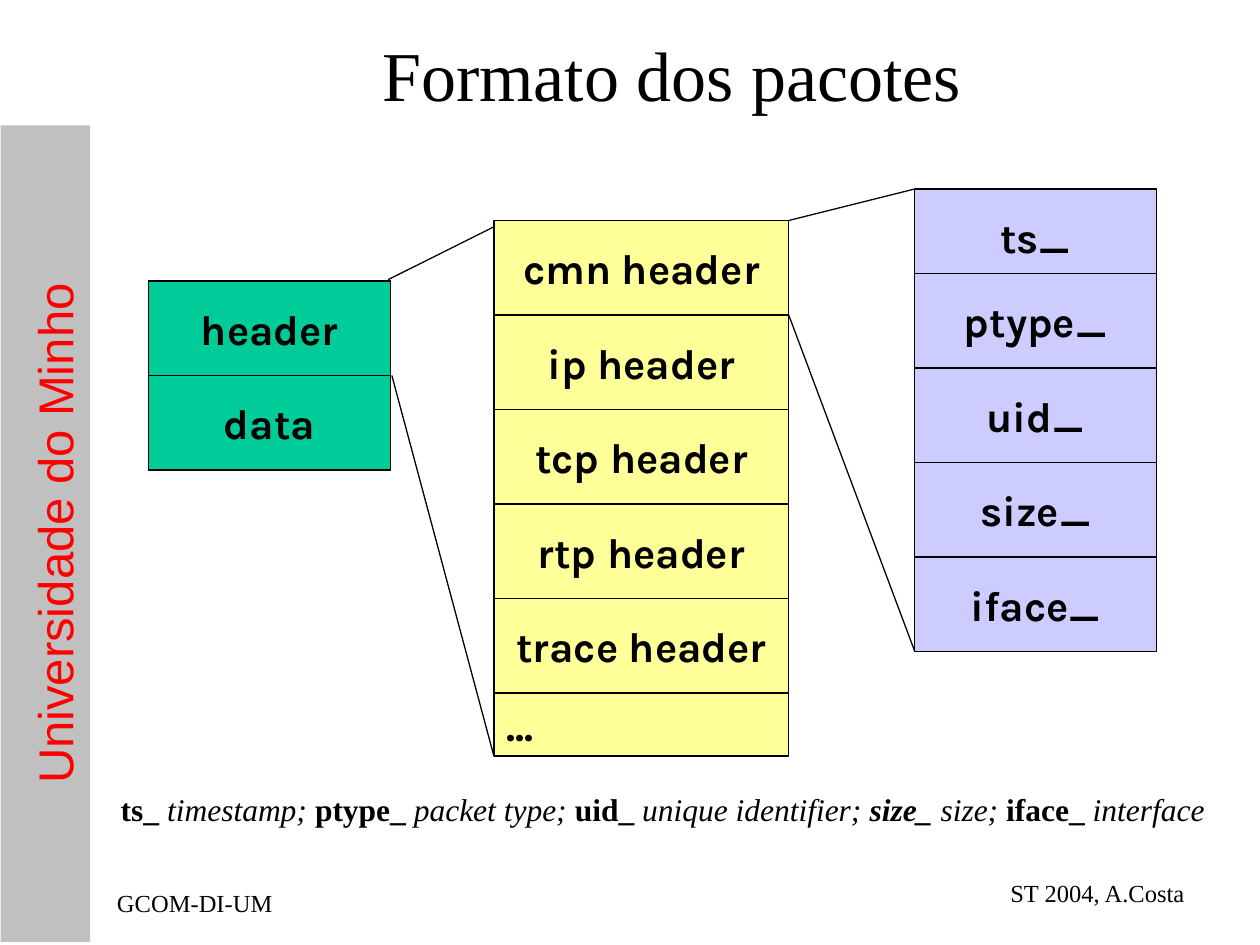
from lxml import etree
from pptx import Presentation, util as u
from pptx.dml.color import RGBColor
from pptx.enum import shapes, text
from pptx.oxml.ns import qn

BLACK = RGBColor(0, 0, 0)
RED = RGBColor(0xFF, 0, 0)
GREY = RGBColor(0xC0, 0xC0, 0xC0)
GREEN = RGBColor(0, 0xCC, 0x99)
YELLOW = RGBColor(0xFF, 0xFF, 0x99)
LILAC = RGBColor(0xCC, 0xCC, 0xFF)
SERIF, SANS, LABEL = "Times New Roman", "Arial", "Karla"
LEFT, CENTER, RIGHT = text.PP_ALIGN.LEFT, text.PP_ALIGN.CENTER, text.PP_ALIGN.RIGHT
TOP, MIDDLE = text.MSO_ANCHOR.TOP, text.MSO_ANCHOR.MIDDLE

# Content
TITLE = "Formato dos pacotes"
UNIVERSITY = "Universidade do Minho"
FOOTERS = [
    ("GCOM-DI-UM", 0.83, 7, LEFT),
    ("ST 2004, A.Costa", 7.42, 6.92, RIGHT),
]
ROW = 0.75
# Each column: left, top of second row, width, fill, rows, first row's rise
COLUMNS = [
    (1.18, 2.98, 1.92, GREEN, ["header", "data"], 0.75),
    (3.92, 2.5, 2.34, YELLOW,
     ["cmn header", "ip header", "tcp header", "rtp header", "trace header"], 0.75),
    (7.26, 2.17, 1.92, LILAC, ["ts_", "ptype_", "uid_", "size_", "iface_"], 0.67),
]
MORE = "..."
MORE_HEIGHT = 0.5
EXPANSIONS = [
    ((3.08, 2.22), (3.92, 1.8)),
    ((3.11, 2.98), (3.92, 6)),
    ((6.26, 1.75), (7.26, 1.5)),
    ((6.26, 2.5), (7.26, 5.17)),
]
# Legend: text, bold, italic
LEGEND = [
    ("ts_ ", True, False), ("timestamp; ", False, True),
    ("ptype_ ", True, False), ("packet type; ", False, True),
    ("uid_ ", True, False), ("unique identifier; ", False, True),
    ("size_ ", True, True), ("size; ", False, True),
    ("iface_ ", True, False), ("interface", False, True),
]


def write(shape, runs, font, size, color=BLACK, align=CENTER, anchor=MIDDLE, wrap=False):
    frame = shape.text_frame
    frame.word_wrap = wrap
    frame.vertical_anchor = anchor
    paragraph = frame.paragraphs[0]
    paragraph.alignment = align
    for words, bold, italic in runs:
        run = paragraph.add_run()
        run.text = words
        run.font.name, run.font.size = font, u.Pt(size)
        run.font.bold, run.font.italic = bold, italic
        run.font.color.rgb = color
    return paragraph


def inches(*lengths):
    return [u.Inches(length) for length in lengths]


def add_box(left, top, width, height, fill, outlined=True):
    box = slide.shapes.add_shape(
        shapes.MSO_SHAPE.RECTANGLE, *inches(left, top, width, height))
    box.shadow.inherit = False
    box.fill.solid()
    box.fill.fore_color.rgb = fill
    if outlined:
        box.line.color.rgb = BLACK
        box.line.width = u.Pt(0.75)
    else:
        box.line.fill.background()
    return box


prs = Presentation()
prs.slide_width, prs.slide_height = inches(10, 7.5)
slide = prs.slides.add_slide(prs.slide_layouts[5])

# University sidebar
sidebar = add_box(-2.88, 3.88, 6.48, 0.71, GREY, outlined=False)
sidebar.rotation = 270
name = write(sidebar, [(UNIVERSITY, False, False)], SANS, 28, RED, anchor=TOP, wrap=True)
name.line_spacing = 1.3

# Footers
for words, left, top, align in FOOTERS:
    footer = slide.shapes.add_textbox(*inches(left, top, 2.08, 0.33))
    write(footer, [(words, False, False)], SERIF, 14, align=align)

# Title
title = slide.shapes.title
title.left, title.top, title.width, title.height = inches(0.83, 0.17, 9, 0.83)
write(title, [(TITLE, False, False)], SERIF, 40, wrap=True)

# Packet columns
for left, second_top, width, fill, labels, rise in COLUMNS:
    for i, label in enumerate(labels):
        top = second_top + (i - 1) * ROW if i else second_top - rise
        write(add_box(left, top, width, ROW, fill), [(label, True, False)], LABEL, 24)

# Further headers below the middle column
left, second_top, width, fill, labels, rise = COLUMNS[1]
more = add_box(left, second_top + (len(labels) - 1) * ROW, width, MORE_HEIGHT, fill)
write(more, [(MORE, True, False)], LABEL, 24, align=LEFT, anchor=TOP, wrap=True)

# Lines from a field to its expansion
for start, end in EXPANSIONS:
    line = slide.shapes.add_connector(
        shapes.MSO_CONNECTOR.STRAIGHT, *inches(*start, *end))
    line.line.color.rgb = BLACK
    line.line.width = u.Pt(0.75)
    etree.SubElement(line._element.spPr, qn("a:effectLst"))

# Legend
legend = slide.shapes.add_textbox(*inches(0.86, 6.22, 8.8, 0.4))
write(legend, LEGEND, SERIF, 18, anchor=TOP)

prs.save("out.pptx")
